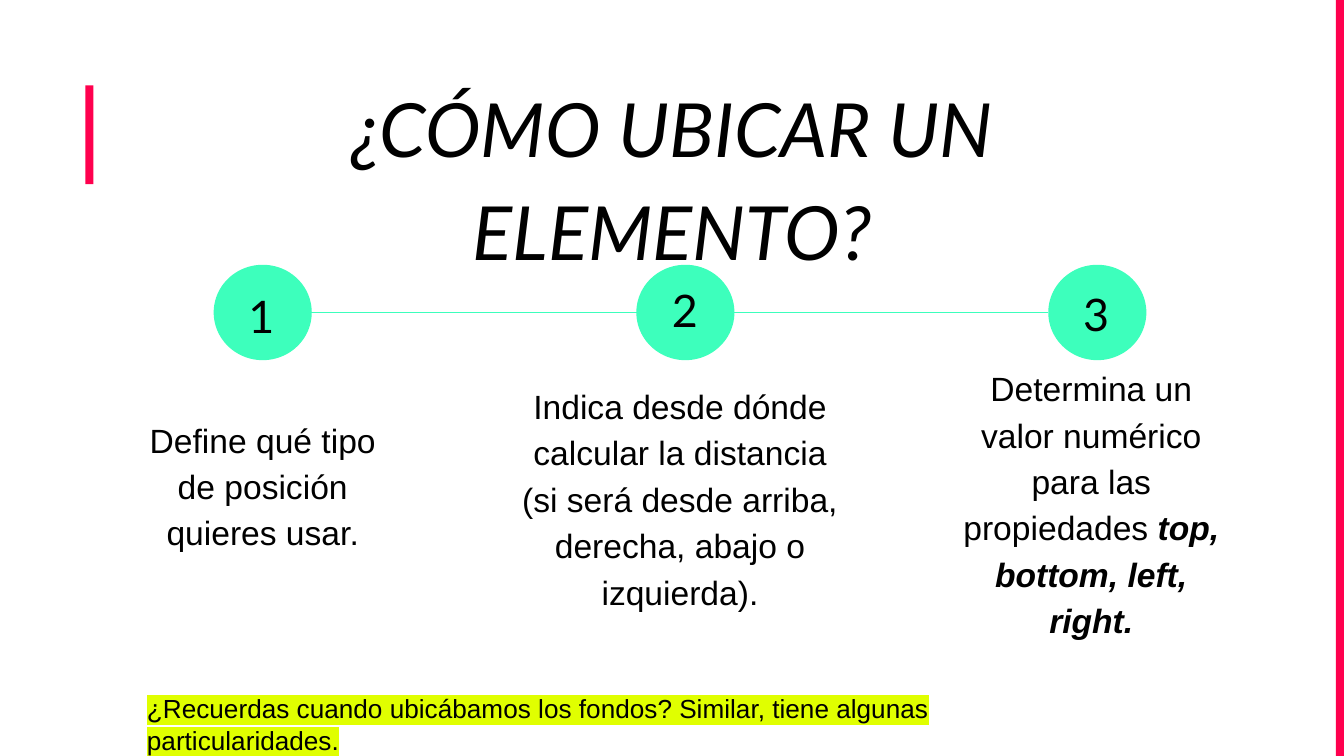
"""Build a slide with three numbered steps for placing an element."""
from lxml import etree
from pptx import Presentation
from pptx import util as u
from pptx.dml.color import RGBColor
from pptx.enum import shapes, text
from pptx.oxml import ns

PX = 4572
HUES = {"red": "FF004E", "mint": "3DFFBC", "lime": "E0FF00", "ink": "000000"}

deck = Presentation()
deck.slide_width, deck.slide_height = 2000 * PX, 1125 * PX
slide = deck.slides.add_slide(deck.slide_layouts[6])


def draw(kind, box, hue):
    item = slide.shapes.add_shape(kind, *[n * PX for n in box])
    item.shadow.inherit = False
    item.fill.solid()
    item.fill.fore_color.rgb = RGBColor.from_string(HUES[hue])
    item.line.fill.background()


def write(words, box, size=18, face="Arial", align="CENTER", anchor="TOP",
          space=1.15, slant=False, mark=None, strong=""):
    frame = slide.shapes.add_textbox(*[n * PX for n in box]).text_frame
    frame.word_wrap = True
    frame.vertical_anchor = text.MSO_ANCHOR[anchor]
    frame.margin_left = frame.margin_right = 20 * PX
    frame.margin_top = frame.margin_bottom = 20 * PX
    para = frame.paragraphs[0]
    para.alignment = text.PP_ALIGN[align]
    para.line_spacing = space
    for part in filter(None, (words, strong)):
        run = para.add_run()
        run.text = part
        font = run.font
        font.size, font.name = u.Pt(size), face
        font.bold = part == strong
        font.italic = slant or part == strong
        font.color.rgb = RGBColor.from_string(HUES["ink"])
        if mark:
            glow = etree.Element(ns.qn("a:highlight"))
            etree.SubElement(glow, ns.qn("a:srgbClr"), val=HUES[mark])
            run._r.rPr.find(ns.qn("a:solidFill")).addnext(glow)


for bar in ((127, 127, 12, 147), (1988, 0, 12, 1125)):
    draw(shapes.MSO_SHAPE.RECTANGLE, bar, "red")

line = slide.shapes.add_connector(
    shapes.MSO_CONNECTOR.STRAIGHT, 464 * PX, 465 * PX, 1560 * PX, 465 * PX)
line.line.color.rgb = RGBColor.from_string(HUES["mint"])
line.line.width = u.Pt(0.75)
etree.SubElement(line._element.spPr, ns.qn("a:effectLst"))

steps = [
    (318, (350, 410, 64, 86), (198, 602, 386, 234),
     "Define qué tipo de posición quieres usar.", ""),
    (947, (980, 401, 64, 86), (752, 638, 520, 200),
     "Indica desde dónde calcular la distancia "
     "(si será desde arriba, derecha, abajo o izquierda).", ""),
    (1560, (1592, 407, 64, 72), (1398, 629, 452, 234),
     "Determina un valor numérico para las propiedades ",
     "top, bottom, left, right."),
]
for num, (left, spot, box, words, strong) in enumerate(steps, 1):
    draw(shapes.MSO_SHAPE.OVAL, (left, 394, 146, 142), "mint")
    write(words, box, anchor="MIDDLE", strong=strong)
    write(str(num), spot, size=24, face="Lato", align="LEFT", space=1.0)

write("¿CÓMO UBICAR UN ELEMENTO?", (318, 84, 1364, 152),
      size=40, face="Lato", slant=True)
write("¿Recuerdas cuando ubicábamos los fondos? "
      "Similar, tiene algunas particularidades.", (199, 1011, 1456, 86),
      size=14, align="LEFT", space=1.0, mark="lime")

deck.save("out.pptx")
